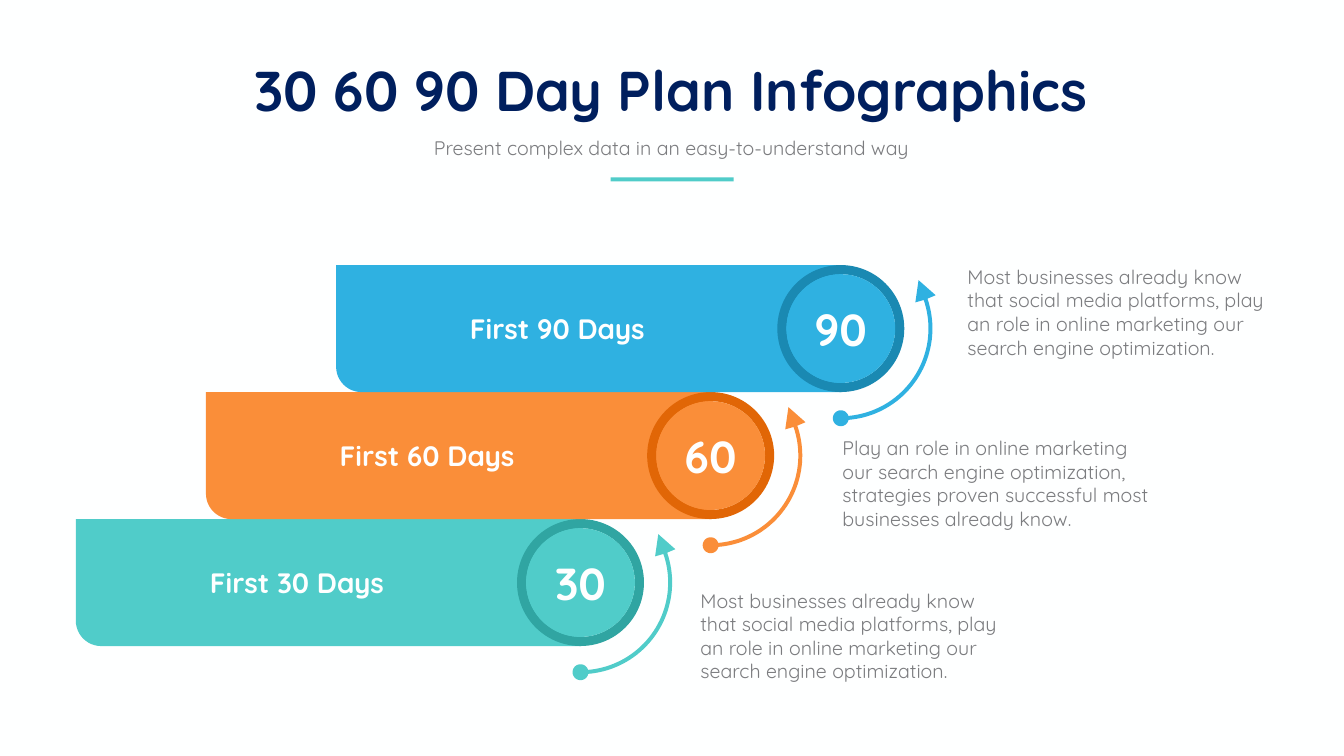
from dataclasses import dataclass
from math import cos, radians, sin

from pptx import Presentation
from pptx.dml.color import RGBColor
from pptx.enum.shapes import MSO_SHAPE as Preset
from pptx.enum.text import MSO_ANCHOR as Anchor, MSO_AUTO_SIZE as AutoSize, PP_ALIGN as Align
from pptx.shapes.autoshape import Shape
from pptx.slide import Slide
from pptx.util import Cm, Pt

WHITE = RGBColor(0xFE, 0xFF, 0xFF)
NAVY = RGBColor(0x00, 0x1F, 0x5E)
GRAY = RGBColor(0x7B, 0x7C, 0x7F)
TEAL = RGBColor(0x50, 0xCC, 0xC9)
DARK_TEAL = RGBColor(0x30, 0xA5, 0xA2)
ORANGE = RGBColor(0xFA, 0x8E, 0x39)
DARK_ORANGE = RGBColor(0xE1, 0x66, 0x06)
BLUE = RGBColor(0x2F, 0xB1, 0xE1)
DARK_BLUE = RGBColor(0x1A, 0x89, 0xB2)

FONT = "Quicksand"
BAR_LEFT, BAR_TOP = 1.91, 13.08
BAR_WIDTH, BAR_HEIGHT = 12.72, 3.2
STEP_X, STEP_Y = 3.28, 3.2
RING = 0.23
ARC_RADIUS, ARC_HALF, DOT_RADIUS = 2.26, 0.05, 0.2
ARC_START, ARC_END = 86, -19
ARROWHEAD = [(1.88, -0.66), (1.96, -1.22), (2.39, -0.84)]


@dataclass
class Stage:
    days: str
    color: RGBColor
    ring_color: RGBColor
    note: str
    note_left: float
    note_top: float


SOCIAL_NOTE = ("Most businesses already know that social media platforms, play an role "
               "in online marketing our search engine optimization.")
STRATEGY_NOTE = ("Play an role in online marketing our search engine optimization, "
                 "strategies proven successful most businesses already know.")
STAGES = [
    Stage("30", TEAL, DARK_TEAL, SOCIAL_NOTE, 17.4, 14.71),
    Stage("60", ORANGE, DARK_ORANGE, STRATEGY_NOTE, 20.98, 10.87),
    Stage("90", BLUE, DARK_BLUE, SOCIAL_NOTE, 24.13, 6.55),
]


def place(shape: Shape, left: float, top: float, width: float, height: float) -> None:
    shape.left, shape.top = Cm(left), Cm(top)
    shape.width, shape.height = Cm(width), Cm(height)


def write(shape: Shape, text: str, size: float, color: RGBColor, bold: bool = False,
          align: Align = Align.CENTER, anchor: Anchor = Anchor.MIDDLE) -> None:
    frame = shape.text_frame
    frame.text = text
    frame.word_wrap = True
    frame.auto_size = AutoSize.NONE
    frame.vertical_anchor = anchor
    paragraph = frame.paragraphs[0]
    paragraph.alignment = align
    paragraph.space_before = Pt(0)
    paragraph.line_spacing = 1.0
    font = paragraph.font
    font.name, font.size, font.bold = FONT, Pt(size), bold
    font.color.rgb = color


def paint(shape: Shape, color: RGBColor) -> None:
    shape.shadow.inherit = False
    shape.fill.solid()
    shape.fill.fore_color.rgb = color
    shape.line.fill.background()


def add_preset(slide: Slide, preset: Preset, left: float, top: float,
               width: float, height: float, color: RGBColor) -> Shape:
    shape = slide.shapes.add_shape(preset, Cm(left), Cm(top), Cm(width), Cm(height))
    paint(shape, color)
    return shape


def add_text(slide: Slide, left: float, top: float, width: float, height: float) -> Shape:
    return slide.shapes.add_textbox(Cm(left), Cm(top), Cm(width), Cm(height))


def arc(radius: float, start: int, end: int, center_y: float = 0) -> list[tuple[float, float]]:
    count = 40
    angles = [radians(start + (end - start) * i / count) for i in range(count + 1)]
    return [(radius * cos(a), center_y + radius * sin(a)) for a in angles]


def add_arrow(slide: Slide, center_x: float, center_y: float, color: RGBColor) -> None:
    outline = (arc(DOT_RADIUS, 15, 345, ARC_RADIUS)
               + arc(ARC_RADIUS - ARC_HALF, ARC_START, ARC_END)
               + ARROWHEAD
               + arc(ARC_RADIUS + ARC_HALF, ARC_END, ARC_START))
    points = [(Cm(center_x + x), Cm(center_y + y)) for x, y in outline]
    builder = slide.shapes.build_freeform(*points[0])
    builder.add_line_segments(points[1:], close=True)
    paint(builder.convert_to_shape(), color)


def add_stage(slide: Slide, index: int, stage: Stage) -> None:
    left, top = BAR_LEFT + index * STEP_X, BAR_TOP - index * STEP_Y
    center_x, center_y = left + BAR_WIDTH, top + BAR_HEIGHT / 2

    bar = add_preset(slide, Preset.ROUND_1_RECTANGLE, left, top,
                     BAR_WIDTH, BAR_HEIGHT, stage.color)
    bar.rotation = 180
    bar.adjustments[0] = 0.2

    ring_left = center_x - BAR_HEIGHT / 2
    ring = add_preset(slide, Preset.DONUT, ring_left, top,
                      BAR_HEIGHT, BAR_HEIGHT, stage.ring_color)
    ring.adjustments[0] = RING / BAR_HEIGHT
    disc_size = BAR_HEIGHT - 2 * RING
    disc = add_preset(slide, Preset.OVAL, ring_left + RING, top + RING,
                      disc_size, disc_size, stage.color)
    write(disc, stage.days, 32, WHITE, bold=True)

    add_arrow(slide, center_x, center_y, stage.color)
    label = add_text(slide, left + 2.03, center_y - 0.56, 7.09, 1.12)
    write(label, f"First {stage.days} Days", 20, WHITE, bold=True)
    note = add_text(slide, stage.note_left, stage.note_top, 8.23, 2.64)
    write(note, stage.note, 14, GRAY, align=Align.LEFT, anchor=Anchor.TOP)


def main() -> None:
    presentation = Presentation()
    presentation.slide_width, presentation.slide_height = Cm(33.87), Cm(19.05)
    slide = presentation.slides.add_slide(presentation.slide_layouts[0])
    slide.background.fill.solid()
    slide.background.fill.fore_color.rgb = WHITE

    title, subtitle = slide.shapes.title, slide.placeholders[1]
    place(title, 5.05, 1.27, 23.72, 1.96)
    write(title, "30 60 90 Day Plan Infographics", 40, NAVY, bold=True)
    place(subtitle, 7.44, 3.28, 18.97, 0.86)
    write(subtitle, "Present complex data in an easy-to-understand way", 14, GRAY)
    add_preset(slide, Preset.RECTANGLE, 15.39, 4.47, 3.1, 0.1, TEAL)

    for index, stage in enumerate(STAGES):
        add_stage(slide, index, stage)
    presentation.save("out.pptx")


if __name__ == "__main__":
    main()
